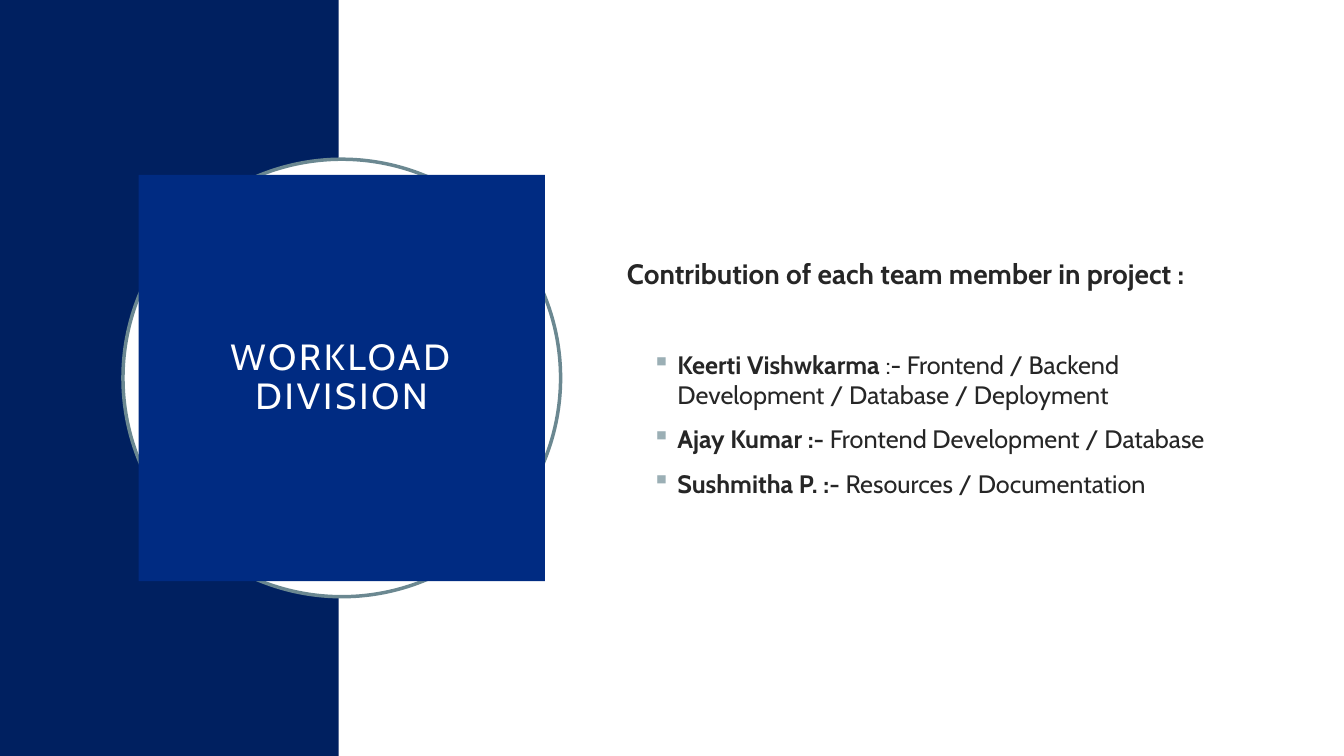
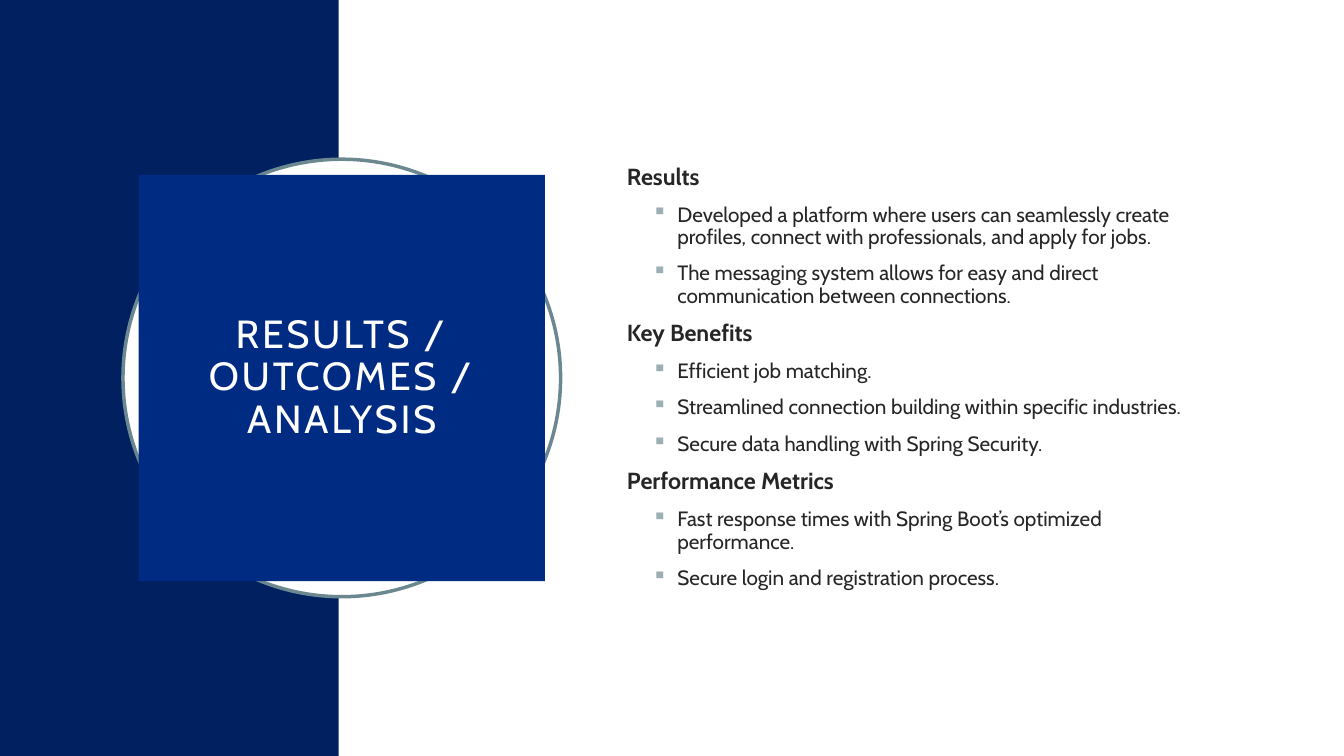
from lxml import etree
from pptx import Presentation
from pptx.dml.color import RGBColor
from pptx.enum.shapes import MSO_SHAPE
from pptx.enum.text import MSO_ANCHOR, PP_ALIGN
from pptx.oxml.ns import qn
from pptx.util import Inches, Pt

RECTANGLE, OVAL = MSO_SHAPE.RECTANGLE, MSO_SHAPE.OVAL
MIDDLE = MSO_ANCHOR.MIDDLE
CENTER = PP_ALIGN.CENTER

FONT = "Cabin"
COLORS = {
    "band": "002060",
    "panel": "002B82",
    "ring": "6B8891",
    "bullet": "9BAFB5",
    "text": "262626",
    "white": "FFFFFF",
}

SLIDE_WIDTH, SLIDE_HEIGHT = 13.33, 7.5
BAND_WIDTH = 3.36
RING_SIZE, PANEL_SIZE = 4.34, 4.03
MEDALLION_CENTER = (3.39, SLIDE_HEIGHT / 2)
BODY_LEFT, BODY_TOP, BODY_HEIGHT = 6.12, 1.53, 4.43

# Each body line is (level, runs, extra paragraph format); a run is (text, bold).
WORKLOAD = [
    (0, [("Contribution of each team member in project :", True)], {}),
    (1, [("Keerti Vishwkarma ", True),
         (":- Frontend / Backend Development / Database / Deployment", False)],
     {"space_before": 42}),
    (1, [("Ajay Kumar :- ", True), ("Frontend Development / Database", False)], {}),
    (1, [("Sushmitha P. :-", True), (" Resources / Documentation", False)], {}),
]

RESULTS = {
    "Results": [
        "Developed a platform where users can seamlessly create profiles, "
        "connect with professionals, and apply for jobs.",
        "The messaging system allows for easy and direct communication "
        "between connections.",
    ],
    "Key Benefits": [
        "Efficient job matching.",
        "Streamlined connection building within specific industries.",
        "Secure data handling with Spring Security.",
    ],
    "Performance Metrics": [
        "Fast response times with Spring Boot’s optimized performance.",
        "Secure login and registration process.",
    ],
}


def rgb(name):
    return RGBColor.from_string(COLORS[name])


def add_block(slide, kind, left, top, width, height, fill, outline=None):
    block = slide.shapes.add_shape(
        kind, Inches(left), Inches(top), Inches(width), Inches(height))
    block.shadow.inherit = False
    block.fill.solid()
    block.fill.fore_color.rgb = rgb(fill)
    if outline:
        block.line.color.rgb = rgb(outline)
        block.line.width = Pt(2.5)
    else:
        block.line.fill.background()
    return block


def add_centered(slide, kind, size, fill, outline=None):
    """Add a square-sized block around the centre of the title medallion."""
    x, y = MEDALLION_CENTER
    return add_block(slide, kind, x - size / 2, y - size / 2, size, size, fill, outline)


def add_run(paragraph, text, size, color="text", bold=False, spacing=0):
    run = paragraph.add_run()
    run.text = text
    run.font.name = FONT
    run.font.size = Pt(size)
    run.font.bold = bold
    run.font.color.rgb = rgb(color)
    if spacing:
        run.font._element.set("spc", str(spacing * 100))


def add_bullet(paragraph):
    properties = paragraph._p.get_or_add_pPr()
    properties.set("marL", str(Inches(0.5)))
    properties.set("indent", str(Inches(-0.25)))
    bullet_color = etree.SubElement(properties, qn("a:buClr"))
    etree.SubElement(bullet_color, qn("a:srgbClr"), val=COLORS["bullet"])
    etree.SubElement(properties, qn("a:buChar"), char="▪")


def add_title_side(slide, title, size):
    add_block(slide, RECTANGLE, 0, 0, BAND_WIDTH, SLIDE_HEIGHT, "band")
    add_centered(slide, OVAL, RING_SIZE, "white", outline="ring")
    frame = add_centered(slide, RECTANGLE, PANEL_SIZE, "panel").text_frame
    frame.word_wrap = True
    frame.vertical_anchor = MIDDLE
    frame.margin_left = frame.margin_right = Inches(0.2)
    frame.margin_top = frame.margin_bottom = Inches(0.2)
    paragraph = frame.paragraphs[0]
    paragraph.alignment = CENTER
    paragraph.line_spacing = 0.9
    add_run(paragraph, title, size, color="white", spacing=2)


def add_body(slide, lines, width, sizes, line_spacing=1.0):
    """Write headings (level 0) and bullets (level 1); sizes is indexed by level."""
    frame = slide.shapes.add_textbox(
        Inches(BODY_LEFT), Inches(BODY_TOP), Inches(width), Inches(BODY_HEIGHT)).text_frame
    frame.word_wrap = True
    frame.vertical_anchor = MIDDLE
    for index, (level, runs, extra) in enumerate(lines):
        paragraph = frame.add_paragraph() if index else frame.paragraphs[0]
        paragraph.level = level
        paragraph.line_spacing = line_spacing
        paragraph.space_before = Pt(extra.get("space_before", 10))
        if level:
            add_bullet(paragraph)
        for text, bold in runs:
            add_run(paragraph, text, sizes[level], bold=bold)


def section_lines(sections):
    for heading, points in sections.items():
        yield 0, [(heading, True)], {}
        for point in points:
            yield 1, [(point, False)], {}


def main():
    deck = Presentation()
    deck.slide_width, deck.slide_height = Inches(SLIDE_WIDTH), Inches(SLIDE_HEIGHT)
    blank = deck.slide_layouts[6]

    workload = deck.slides.add_slide(blank)
    add_title_side(workload, "WORKLOAD DIVISION", 26)
    add_body(workload, WORKLOAD, 6.07, (20, 18))

    results = deck.slides.add_slide(blank)
    add_title_side(results, "RESULTS / OUTCOMES / ANALYSIS", 28)
    add_body(results, section_lines(RESULTS), 5.82, (16.6, 14.8), line_spacing=0.9)

    deck.save("out.pptx")


if __name__ == "__main__":
    main()
